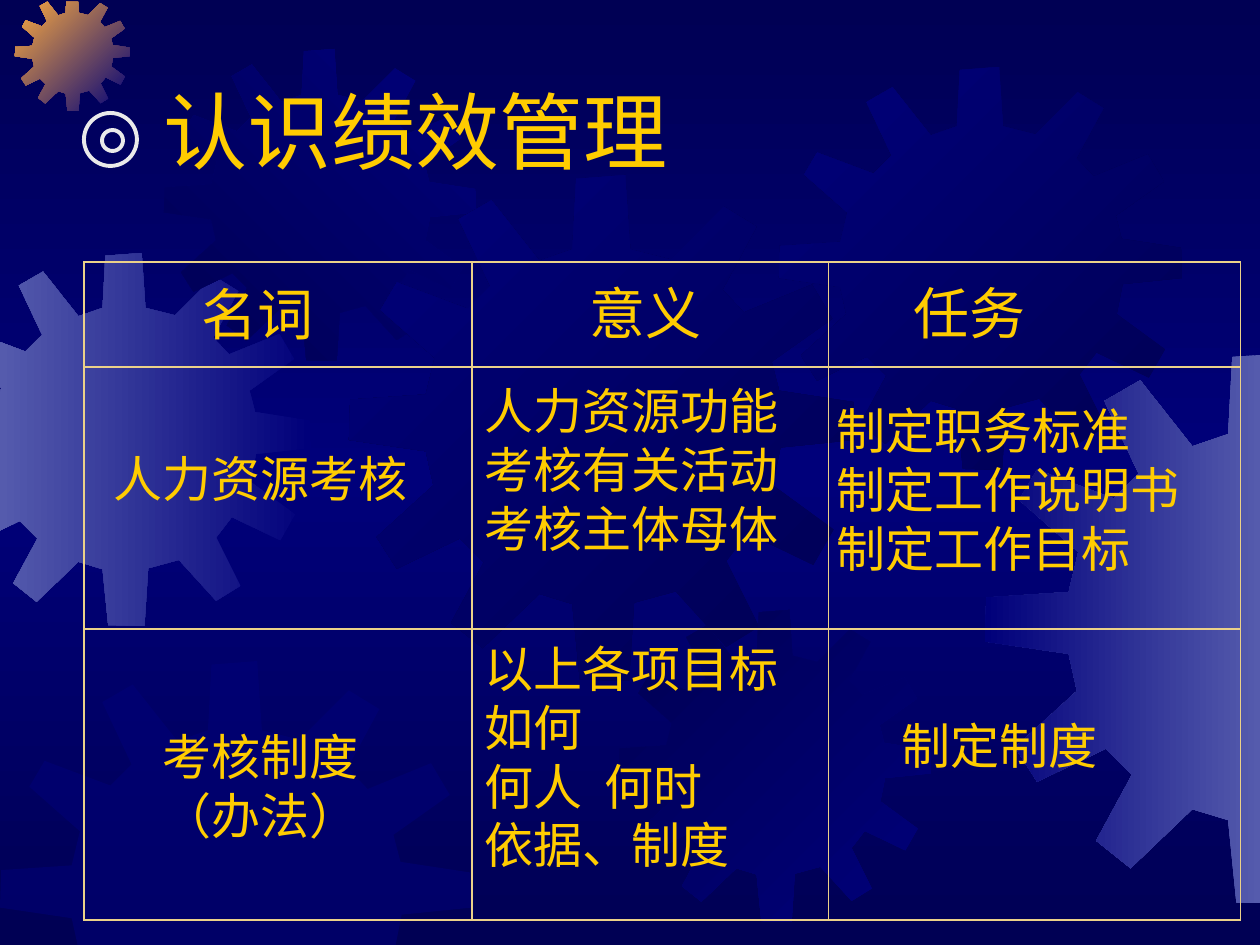
from copy import deepcopy
from dataclasses import dataclass

from lxml.etree import SubElement
from pptx import Presentation
from pptx.dml.color import RGBColor
from pptx.enum.shapes import MSO_SHAPE as Shape
from pptx.enum.text import MSO_ANCHOR as Anchor, PP_ALIGN as Align
from pptx.oxml import parse_xml
from pptx.oxml.ns import nsdecls, qn
from pptx.util import Pt

SLIDE_W, SLIDE_H = 1260, 945
CLIP_TOP = 2


@dataclass(frozen=True)
class Theme:
    font: str = "Times New Roman"
    night: str = "000054"
    navy: str = "00007A"
    steel: str = "555BAD"
    amber: str = "FCAB40"
    gold: str = "FFCC00"
    rule: str = "EBD189"
    bullet: str = "EAEAEA"
    title_size: int = 48
    head_size: int = 32
    body_size: int = 28
    leading: float = 1.2
    rule_width: float = 0.75
    bullet_width: float = 2.25


THEME = Theme()

GEAR_SPAN = 401
GEAR = [
    (255, 67), (223, 59), (219, 0), (180, 3), (177, 59), (151, 68),
    (113, 20), (87, 35), (112, 88), (94, 106), (38, 85), (25, 107),
    (68, 145), (61, 174), (1, 178), (0, 210), (61, 219), (67, 246),
    (22, 287), (38, 312), (88, 288), (107, 307), (81, 355), (106, 375),
    (151, 332), (177, 340), (183, 400), (222, 401), (226, 339), (259, 330),
    (299, 374), (325, 358), (299, 306), (316, 284), (368, 309), (384, 281),
    (336, 246), (342, 216), (401, 210), (400, 180), (341, 171), (335, 148),
    (383, 114), (367, 87), (313, 109), (296, 91), (323, 41), (297, 25),
]

GEARS = [
    ((-62, 253, 373), (THEME.navy, THEME.steel), 180),
    ((15, -4, 115), (THEME.navy, THEME.amber), 135),
    ((164, 49, 312), (THEME.navy, THEME.night), 225),
    ((349, 175, 506), (THEME.night, THEME.navy), 135),
    ((0, 661, 471), (THEME.navy,), 0),
    ((619, 610, 312), (THEME.navy, THEME.night), 135),
    ((779, 67, 403), (THEME.night, THEME.navy), 135),
    ((985, 353, 551), (THEME.steel, THEME.navy), 180),
]

COLUMNS = [388, 357, 412]
ROWS = [105, 262, 291]
TERMS = [
    [(118, 22, ["名词"]), (118, 21, ["意义"]), (85, 21, ["任务"])],
    [
        (30, 86, ["人力资源考核"]),
        (13, 18, ["人力资源功能", "考核有关活动", "考核主体母体"]),
        (8, 38, ["制定职务标准", "制定工作说明书", "制定工作目标"]),
    ],
    [
        (79, 102, ["考核制度", "（办法）"]),
        (13, 14, ["以上各项目标", "如何", "何人  何时", "依据、制度"]),
        (73, 91, ["制定制度"]),
    ],
]


def px(length):
    return round(length * 914400 / 126)


def rgb(color):
    return RGBColor.from_string(color)


def add_text(paragraph, words, size):
    paragraph.alignment = Align.LEFT
    run = paragraph.add_run()
    run.text = words
    run.font.name = THEME.font
    run.font.size = Pt(size)
    run.font.color.rgb = rgb(THEME.gold)


def set_gradient(fill, colors, angle):
    fill.gradient_angle = angle
    last = len(colors) - 1
    for index, (stop, color) in enumerate(zip(fill.gradient_stops, colors)):
        stop.position = index / last
        stop.color.rgb = rgb(color)


def clip(points, axis, limit, sign):
    kept = []
    for start, end in zip(points[-1:] + points[:-1], points):
        start_in = sign * (start[axis] - limit) >= 0
        end_in = sign * (end[axis] - limit) >= 0
        if start_in != end_in:
            share = (limit - start[axis]) / (end[axis] - start[axis])
            kept.append(tuple(a + share * (b - a) for a, b in zip(start, end)))
        if end_in:
            kept.append(end)
    return kept


def add_gear(slide, box, colors, angle):
    left, top, size = box
    outline = [(left + x * size / GEAR_SPAN, top + y * size / GEAR_SPAN) for x, y in GEAR]
    for edge in ((0, 0, 1), (0, SLIDE_W, -1), (1, CLIP_TOP, 1), (1, SLIDE_H, -1)):
        outline = clip(outline, *edge)
    outline = [(px(x), px(y)) for x, y in outline]
    builder = slide.shapes.build_freeform(*outline[0], scale=1.0)
    builder.add_line_segments(outline[1:], close=True)
    gear = builder.convert_to_shape()
    gear.shadow.inherit = False
    gear.line.fill.background()
    if len(colors) > 1:
        gear.fill.gradient()
        set_gradient(gear.fill, colors, angle)
    else:
        gear.fill.solid()
        gear.fill.fore_color.rgb = rgb(colors[0])
        tint = gear._element.spPr.find(qn("a:solidFill"))[0]
        SubElement(tint, qn("a:alpha")).set("val", "50000")


def add_backdrop(slide):
    fill = slide.background.fill
    fill.gradient()
    stops = slide._element.xpath(".//p:bg//a:gsLst")[0]
    stops.append(deepcopy(stops[0]))
    set_gradient(fill, (THEME.night, THEME.navy, THEME.night), 270)
    for gear in GEARS:
        add_gear(slide, *gear)


def add_heading(slide, left, top):
    title = slide.shapes.title
    slide.shapes._spTree.append(title._element)
    title.left, title.top = px(left + 67), px(top)
    title.width, title.height = px(752), px(113)
    frame = title.text_frame
    frame.word_wrap = True
    frame.vertical_anchor = Anchor.TOP
    add_text(frame.paragraphs[0], "认识绩效管理", THEME.title_size)
    for inset, drop, size in ((0, 40, 53), (18, 57, 21)):
        ring = slide.shapes.add_shape(
            Shape.OVAL, px(left + inset), px(top + drop), px(size), px(size))
        ring.shadow.inherit = False
        ring.fill.background()
        ring.line.color.rgb = rgb(THEME.bullet)
        ring.line.width = Pt(THEME.bullet_width)


def rule_cell(cell):
    cell.fill.background()
    props = cell._tc.get_or_add_tcPr()
    for index, side in enumerate("LRTB"):
        props.insert(index, parse_xml(
            f'<a:ln{side} {nsdecls("a")} w="{Pt(THEME.rule_width)}"><a:solidFill>'
            f'<a:srgbClr val="{THEME.rule}"/></a:solidFill></a:ln{side}>'))


def add_terms(slide, left, top):
    table = slide.shapes.add_table(
        len(ROWS), len(COLUMNS), px(left), px(top), px(sum(COLUMNS)), px(sum(ROWS))).table
    table.first_row = table.horz_banding = False
    for column, width in zip(table.columns, COLUMNS):
        column.width = px(width)
    for r, (height, entries) in enumerate(zip(ROWS, TERMS)):
        table.rows[r].height = px(height)
        size = THEME.body_size if r else THEME.head_size
        for c, (indent, drop, lines) in enumerate(entries):
            cell = table.cell(r, c)
            cell.margin_left, cell.margin_top = px(indent), px(drop)
            cell.margin_right = cell.margin_bottom = 0
            cell.vertical_anchor = Anchor.TOP
            rule_cell(cell)
            frame = cell.text_frame
            for index, words in enumerate(lines):
                paragraph = frame.add_paragraph() if index else frame.paragraphs[0]
                paragraph.line_spacing = Pt(size * THEME.leading)
                add_text(paragraph, words, size)


def main():
    deck = Presentation()
    deck.slide_width, deck.slide_height = px(SLIDE_W), px(SLIDE_H)
    slide = deck.slides.add_slide(deck.slide_layouts[5])
    add_backdrop(slide)
    add_heading(slide, 84, 73)
    add_terms(slide, 84, 262)
    deck.save("out.pptx")


if __name__ == "__main__":
    main()
